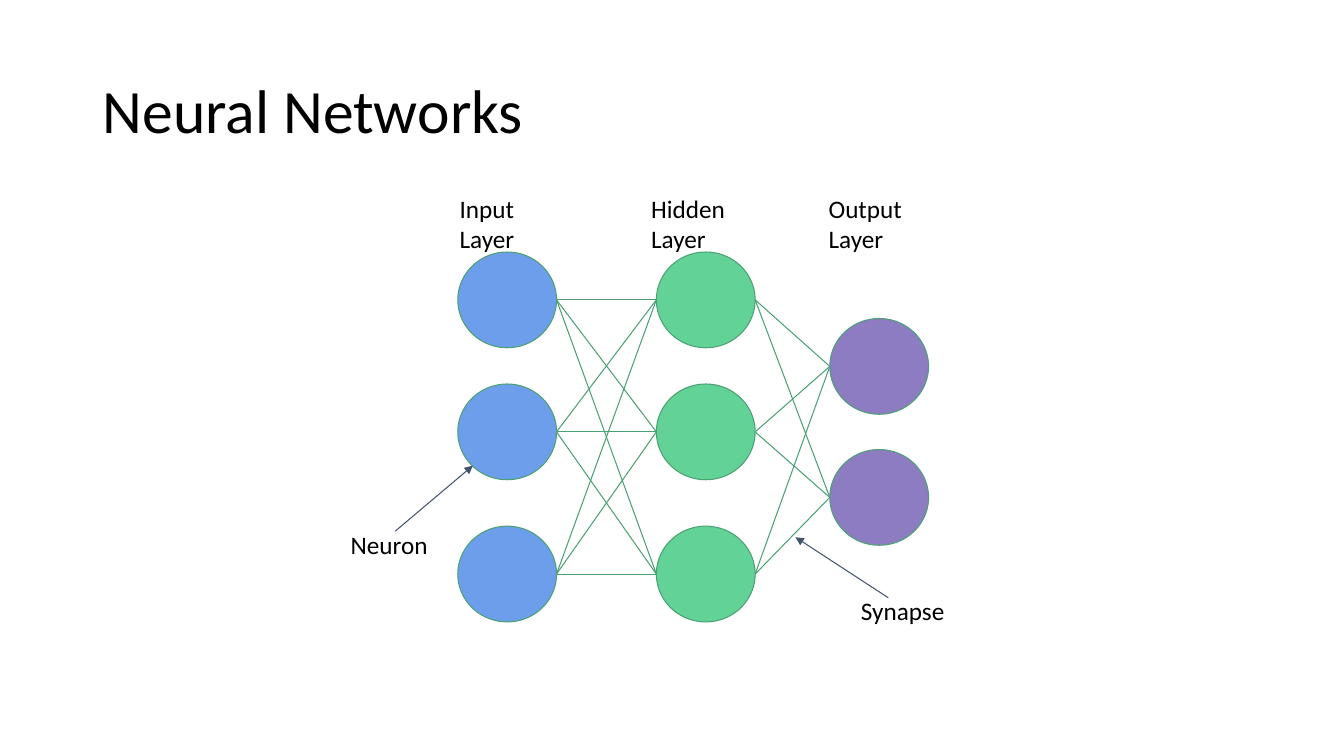
"""Build a slide that shows the layers of a small neural network."""
from itertools import pairwise, product

from lxml import etree
from pptx import Presentation
from pptx.dml.color import RGBColor
from pptx.enum import shapes, text
from pptx.oxml.ns import qn
from pptx.util import Inches, Pt

TITLE = "Neural Networks"
NEURON_WIDTH, NEURON_HEIGHT = 0.98, 0.95
GREEN, SLATE, BLACK = "4BA173", "44546A", "000000"
LAYERS = [
    {"left": 4.54, "tops": [2.5, 3.81, 5.22], "fill": "6D9EEB"},
    {"left": 6.51, "tops": [2.5, 3.81, 5.22], "fill": "63D297"},
    {"left": 8.23, "tops": [3.16, 4.46], "fill": "8E7CC3"},
]
LABELS = [
    ("Input Layer", 4.46, 1.82, 1.28),
    ("Hidden Layer", 6.36, 1.82, 1.44),
    ("Output Layer", 8.12, 1.82, 1.44),
    ("Synapse", 8.44, 5.81, 1.28),
    ("Neuron", 3.38, 5.15, 0.97),
]
POINTERS = [((8.81, 5.93), (7.89, 5.33)), ((3.92, 5.27), (4.69, 4.62))]


def color(value):
    return RGBColor.from_string(value)


def format_text(para, size):
    for span in para.runs:
        span.font.name = "Calibri"
        span.font.size = Pt(size)
        span.font.color.rgb = color(BLACK)


def add_title(page):
    title = page.shapes.title
    title.left, title.top = Inches(0.92), Inches(0.4)
    title.width, title.height = Inches(11.5), Inches(1.45)
    frame = title.text_frame
    frame.text = TITLE
    frame.vertical_anchor = text.MSO_ANCHOR.MIDDLE
    para = frame.paragraphs[0]
    para.alignment = text.PP_ALIGN.LEFT
    para.line_spacing = 0.9
    format_text(para, 44)


def add_neuron(page, left, top, fill):
    neuron = page.shapes.add_shape(
        shapes.MSO_SHAPE.OVAL, Inches(left), Inches(top),
        Inches(NEURON_WIDTH), Inches(NEURON_HEIGHT))
    neuron.shadow.inherit = False
    neuron.fill.solid()
    neuron.fill.fore_color.rgb = color(fill)
    neuron.line.color.rgb = color(GREEN)
    neuron.line.width = Pt(0.75)


def add_line(page, start, end, stroke, arrow=False):
    line = page.shapes.add_connector(
        shapes.MSO_CONNECTOR.STRAIGHT, *map(Inches, start + end))
    line.line.color.rgb = color(stroke)
    line.line.width = Pt(0.75)
    properties = line._element.spPr
    if arrow:
        outline = properties.find(qn("a:ln"))
        etree.SubElement(outline, qn("a:tailEnd"), type="triangle")
    etree.SubElement(properties, qn("a:effectLst"))


def add_label(page, wording, left, top, width):
    box = page.shapes.add_textbox(
        Inches(left), Inches(top), Inches(width), Inches(0.41))
    frame = box.text_frame
    frame.word_wrap = True
    frame.margin_left = frame.margin_right = Inches(0.1)
    frame.margin_top = frame.margin_bottom = Inches(0.1)
    frame.text = wording
    format_text(frame.paragraphs[0], 18)


def main():
    deck = Presentation()
    deck.slide_width, deck.slide_height = Inches(13.33), Inches(7.5)
    page = deck.slides.add_slide(deck.slide_layouts[5])
    add_title(page)
    for layer in LAYERS:
        for top in layer["tops"]:
            add_neuron(page, layer["left"], top, layer["fill"])
    for source, target in pairwise(LAYERS):
        for start, end in product(source["tops"], target["tops"]):
            add_line(page,
                     (source["left"] + NEURON_WIDTH, start + NEURON_HEIGHT / 2),
                     (target["left"], end + NEURON_HEIGHT / 2), GREEN)
    for label in LABELS:
        add_label(page, *label)
    for start, end in POINTERS:
        add_line(page, start, end, SLATE, arrow=True)
    deck.save("out.pptx")


if __name__ == "__main__":
    main()
